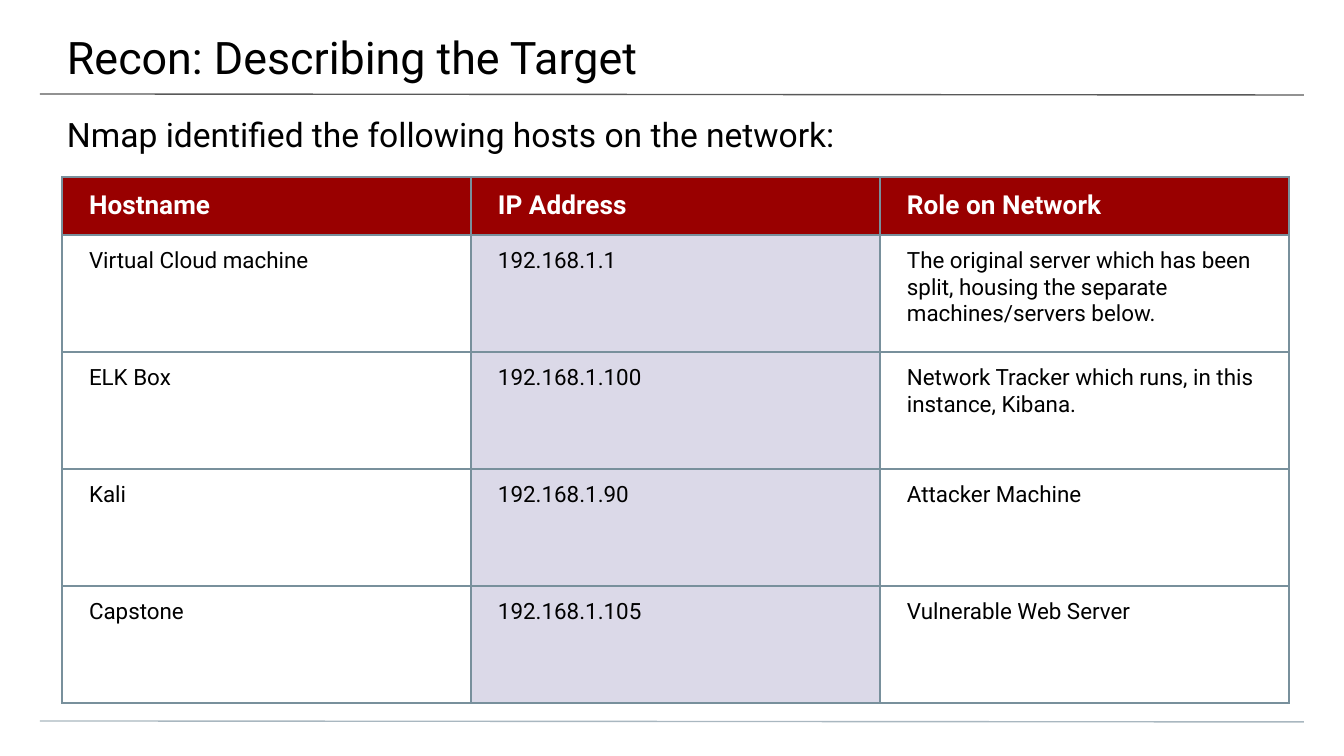
from lxml.etree import SubElement
from pptx import Presentation
from pptx.dml.color import RGBColor
from pptx.enum.shapes import MSO_CONNECTOR
from pptx.enum.text import MSO_ANCHOR
from pptx.oxml.ns import qn
from pptx.util import Emu, Pt

BLACK = RGBColor(0x00, 0x00, 0x00)
WHITE = RGBColor(0xFF, 0xFF, 0xFF)
RED = RGBColor(0x99, 0x00, 0x00)
LILAC = RGBColor(0xDB, 0xD9, 0xE8)
DARK_GRAY = RGBColor(0x59, 0x59, 0x59)
PALE_BLUE = RGBColor(0xA9, 0xB7, 0xC0)
BORDER = RGBColor(0x78, 0x90, 0x9C)


def px(n):
    return Emu(round(n * 914400 / 134.4))


def style(p, size, color, bold=False):
    for r in p.runs:
        r.font.name = "Roboto"
        r.font.size = Pt(size)
        r.font.bold = bold
        r.font.color.rgb = color


prs = Presentation()
prs.slide_width, prs.slide_height = px(1344), px(756)
s = prs.slides.add_slide(prs.slide_layouts[6])

# Rules above and below the content
for y, color in [(94, DARK_GRAY), (721, PALE_BLUE)]:
    line = s.shapes.add_connector(MSO_CONNECTOR.STRAIGHT, px(40), px(y), px(1304), px(y + 1))
    line.line.color.rgb = color
    line.line.width = Pt(0.75)
    SubElement(line._element.spPr, qn("a:effectLst"))

# Title and subtitle
for text, top, height, inset, size in [
    ("Recon: Describing the Target", 0, 78, 30, 24),
    ("Nmap identified the following hosts on the network:", 99, 54, 15, 18),
]:
    tf = s.shapes.add_textbox(px(0), px(top), px(1344), px(height)).text_frame
    tf.word_wrap = True
    tf.margin_left = tf.margin_right = px(67)
    tf.margin_top, tf.margin_bottom = px(inset), px(0)
    tf.text = text
    style(tf.paragraphs[0], size, BLACK)

# Host table
rows = [
    ("Hostname", "IP Address", "Role on Network"),
    ("Virtual Cloud machine", "192.168.1.1",
     "The original server which has been split, housing the separate machines/servers below."),
    ("ELK Box", "192.168.1.100", "Network Tracker which runs, in this instance, Kibana."),
    ("Kali", "192.168.1.90", "Attacker Machine"),
    ("Capstone", "192.168.1.105", "Vulnerable Web Server"),
]
HEADER_H, ROW_H, COL_W = 58, 117, 409
table = s.shapes.add_table(len(rows), 3, px(62), px(177), px(3 * COL_W),
                           px(HEADER_H + 4 * ROW_H)).table
for column in table.columns:
    column.width = px(COL_W)
for i, row in enumerate(rows):
    header = i == 0
    table.rows[i].height = px(HEADER_H if header else ROW_H)
    for j, text in enumerate(row):
        cell = table.cell(i, j)
        cell.text = text
        cell.margin_left = cell.margin_right = px(27)
        cell.margin_top = cell.margin_bottom = px(13)
        cell.vertical_anchor = MSO_ANCHOR.MIDDLE if header else MSO_ANCHOR.TOP
        style(cell.text_frame.paragraphs[0], 14 if header else 12,
              WHITE if header else BLACK, header)
        tc_pr = cell._tc.get_or_add_tcPr()
        for side in ("lnL", "lnR", "lnT", "lnB"):
            ln = SubElement(tc_pr, qn(f"a:{side}"), w=str(Pt(0.75)))
            fill = SubElement(ln, qn("a:solidFill"))
            SubElement(fill, qn("a:srgbClr"), val=str(BORDER))
        cell.fill.solid()
        cell.fill.fore_color.rgb = RED if header else LILAC if j == 1 else WHITE

prs.save("out.pptx")
